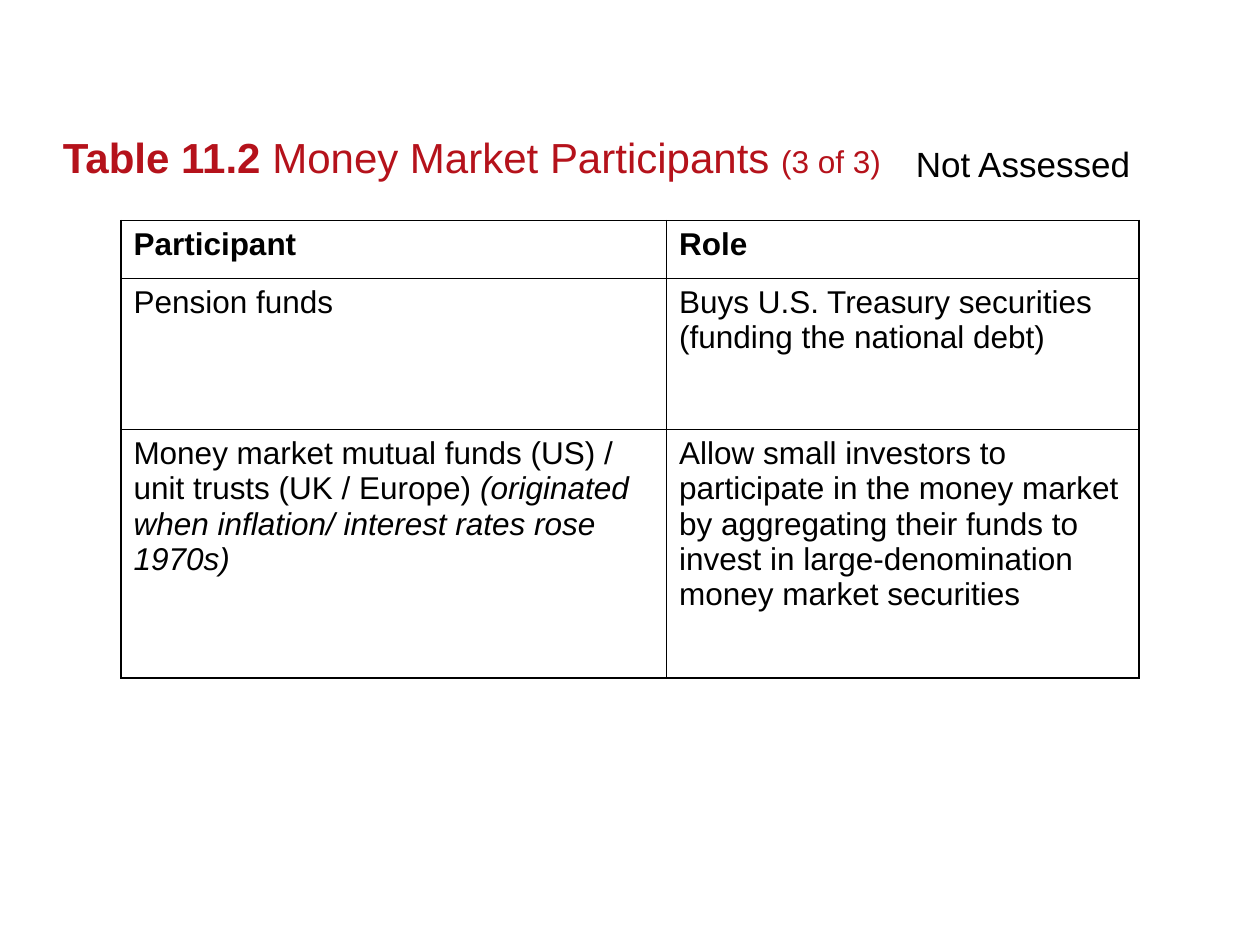
"""Build the slide listing money market participants and their roles."""
from lxml.etree import SubElement
from pptx import Presentation
from pptx.dml.color import RGBColor
from pptx.enum.text import MSO_ANCHOR
from pptx.oxml.ns import qn
from pptx.util import Inches, Pt

RED = RGBColor(0xB5, 0x12, 0x1B)
BLACK = RGBColor(0x00, 0x00, 0x00)
FONT = "Arial"

TITLE = [
    ("Table 11.2 ", 24, "bold"),
    ("Money Market Participants ", 24, ""),
    ("(3 of 3)", 18, ""),
]
NOTE = [("Not Assessed", 20, "")]
ROWS = [
    ([("Participant", 18, "bold")], [("Role", 18, "bold")]),
    (
        [("Pension funds", 18, "")],
        [("Buys U.S. Treasury securities (funding the national debt)", 18, "")],
    ),
    (
        [
            ("Money market mutual funds (US) / unit trusts (UK / Europe) ", 18, ""),
            ("(originated when inflation/ interest rates rose 1970s)", 18, "italic"),
        ],
        [
            (
                "Allow small investors to participate in the money market by "
                "aggregating their funds to invest in large-denomination "
                "money market securities",
                18,
                "",
            )
        ],
    ),
]
COLUMN_WIDTHS = [4.33, 3.75]
ROW_HEIGHTS = [0.46, 1.2, 1.97]


def write(frame, spans, color):
    para = frame.paragraphs[0]
    for text, size, style in spans:
        span = para.add_run()
        span.text = text
        span.font.name = FONT
        span.font.size = Pt(size)
        span.font.bold = style == "bold"
        span.font.italic = style == "italic"
        span.font.color.rgb = color


def add_text(page, place, spans, color):
    box = page.shapes.add_textbox(*map(Inches, place))
    box.text_frame.word_wrap = True
    write(box.text_frame, spans, color)
    return box.text_frame


def add_borders(cell):
    properties = cell._tc.get_or_add_tcPr()
    for side in ("a:lnL", "a:lnR", "a:lnT", "a:lnB"):
        line = SubElement(properties, qn(side), w=str(Pt(1)))
        fill = SubElement(line, qn("a:solidFill"))
        SubElement(fill, qn("a:srgbClr"), val=str(BLACK))


def add_participants(page):
    table = page.shapes.add_table(
        len(ROW_HEIGHTS), len(COLUMN_WIDTHS), Inches(0.96), Inches(1.75),
        Inches(sum(COLUMN_WIDTHS)), Inches(sum(ROW_HEIGHTS)),
    ).table
    table.horz_banding = False
    for column, width in zip(table.columns, COLUMN_WIDTHS):
        column.width = Inches(width)
    for row, height, contents in zip(table.rows, ROW_HEIGHTS, ROWS):
        row.height = Inches(height)
        for cell, spans in zip(row.cells, contents):
            add_borders(cell)
            cell.fill.background()
            write(cell.text_frame, spans, BLACK)


def main():
    deck = Presentation()
    deck.slide_width, deck.slide_height = Inches(10), Inches(7.5)
    page = deck.slides.add_slide(deck.slide_layouts[6])
    title = add_text(page, (0.5, 0.24, 9, 1.2), TITLE, RED)
    title.vertical_anchor = MSO_ANCHOR.BOTTOM
    title.margin_left = title.margin_right = 0
    title.margin_top = title.margin_bottom = 0
    add_participants(page)
    add_text(page, (7.17, 1.08, 2.08, 0.44), NOTE, BLACK)
    deck.save("out.pptx")


if __name__ == "__main__":
    main()
